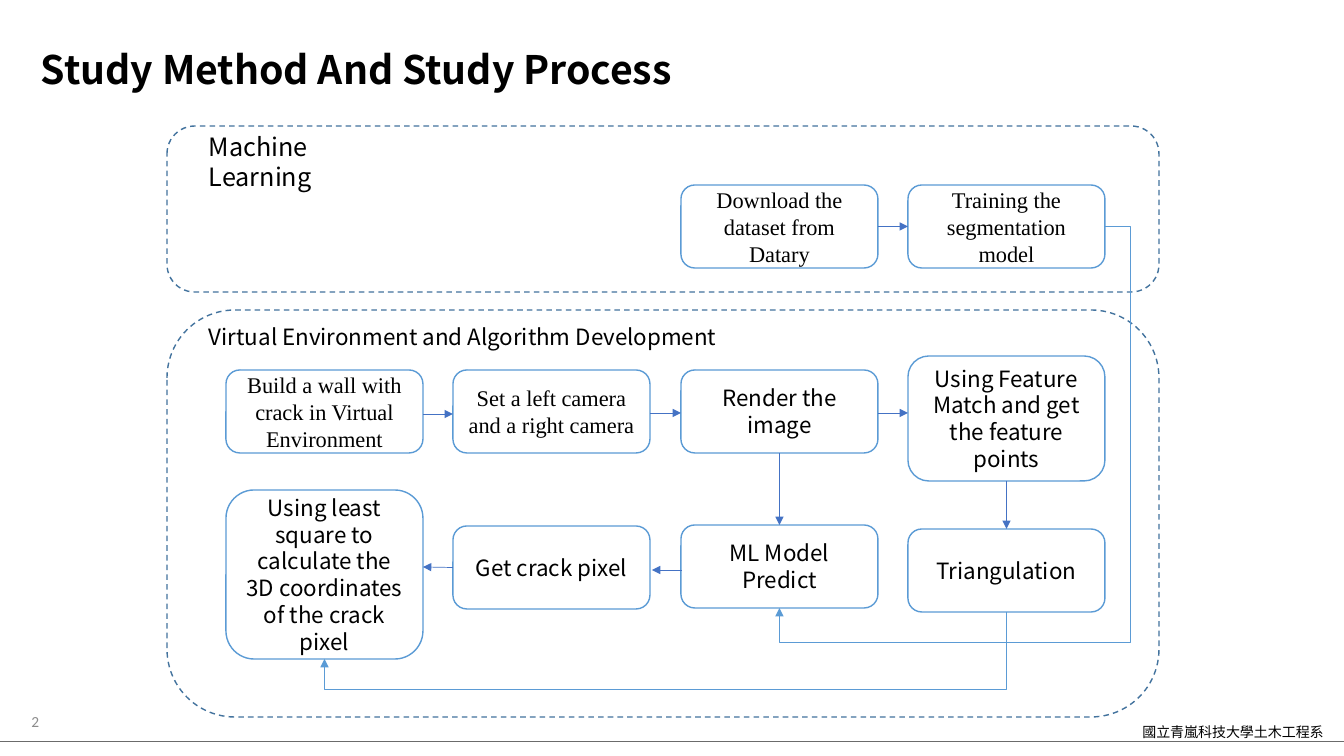
from lxml import etree
from pptx import Presentation
from pptx.dml.color import RGBColor
from pptx.enum.dml import MSO_LINE
from pptx.enum.shapes import MSO_CONNECTOR, MSO_SHAPE
from pptx.enum.text import MSO_ANCHOR, PP_ALIGN
from pptx.oxml.ns import qn
from pptx.util import Pt

STRAIGHT, ELBOW = MSO_CONNECTOR.STRAIGHT, MSO_CONNECTOR.ELBOW
RECT, ROUNDED = MSO_SHAPE.RECTANGLE, MSO_SHAPE.ROUNDED_RECTANGLE
LEFT, CENTER, RIGHT = PP_ALIGN.LEFT, PP_ALIGN.CENTER, PP_ALIGN.RIGHT
TOP_ANCHOR, MIDDLE = MSO_ANCHOR.TOP, MSO_ANCHOR.MIDDLE
DASH = MSO_LINE.DASH
TOP, LEFT_SIDE, BOTTOM, RIGHT_SIDE = range(4)

SANS, SERIF, NUMBER = "Noto Sans CJK SC", "Times New Roman", "Calibri"
BLACK, WHITE, GRAY = "000000", "FFFFFF", "8C8C8C"
BOX_BLUE, ARROW_BLUE, FRAME_BLUE = "5B9BD5", "4472C4", "43739E"
RULE_GRAY = "6B6B6B"
BOX_W, BOX_H = 197, 83


def px(n):
    return round(n * 914400 / 100.8)


def rgb(value):
    return RGBColor.from_string(value)


class FlowSlide:
    def __init__(self, prs):
        self.shapes = prs.slides.add_slide(prs.slide_layouts[6]).shapes

    def add_text(self, sp, text, size, font=SANS, color=BLACK, bold=False,
                 align=LEFT, anchor=TOP_ANCHOR, wrap=True):
        tf = sp.text_frame
        tf.word_wrap = wrap
        tf.vertical_anchor = anchor
        p = tf.paragraphs[0]
        p.alignment = align
        p.line_spacing = Pt(round(size * 1.2, 1))
        r = p.add_run()
        r.text = text
        r.font.size = Pt(size)
        r.font.name = font
        r.font.bold = bold
        r.font.color.rgb = rgb(color)
        etree.SubElement(r.font._element, qn("a:ea"), typeface=font)

    def label(self, x, y, w, h, text, size, **style):
        sp = self.shapes.add_textbox(px(x), px(y), px(w), px(h))
        self.add_text(sp, text, size, **style)

    def outline(self, kind, x, y, w, h, color, fill=None, dash=None):
        sp = self.shapes.add_shape(kind, px(x), px(y), px(w), px(h))
        sp.shadow.inherit = False
        if fill:
            sp.fill.solid()
            sp.fill.fore_color.rgb = rgb(fill)
        else:
            sp.fill.background()
        sp.line.color.rgb = rgb(color)
        sp.line.width = Pt(1)
        sp.line.dash_style = dash
        return sp

    def step(self, col, y, text, font=SANS, h=BOX_H):
        x = 226 + col * 455 // 2
        sp = self.outline(ROUNDED, x, y, BOX_W, h, BOX_BLUE, fill=WHITE)
        self.add_text(sp, text, 16, font=font, align=CENTER, anchor=MIDDLE)
        return sp

    def line(self, x1, y1, x2, y2, color=ARROW_BLUE, kind=STRAIGHT,
             begin=None, end=None, arrow=True):
        cx = self.shapes.add_connector(kind, px(x1), px(y1), px(x2), px(y2))
        if begin:
            cx.begin_connect(*begin)
        if end:
            cx.end_connect(*end)
        cx.line.color.rgb = rgb(color)
        cx.line.width = Pt(0.5)
        if arrow:
            ln = cx._element.spPr.find(qn("a:ln"))
            etree.SubElement(ln, qn("a:tailEnd"), type="triangle")
        etree.SubElement(cx._element.spPr, qn("a:effectLst"))
        return cx

    def bend(self, x1, y1, x2, y2, begin, end, preset, adjustments, turned=False):
        cx = self.line(x1, y1, x2, y2, BOX_BLUE, ELBOW, begin, end)
        geom = cx._element.spPr.find(qn("a:prstGeom"))
        geom.set("prst", preset)
        guides = geom.find(qn("a:avLst"))
        if guides is None:
            guides = etree.SubElement(geom, qn("a:avLst"))
        for i, value in enumerate(adjustments, 1):
            etree.SubElement(guides, qn("a:gd"), name=f"adj{i}", fmla=f"val {value}")
        if turned:
            xfrm = cx._element.spPr.find(qn("a:xfrm"))
            xfrm.attrib.pop("flipH", None)
            xfrm.set("rot", "5400000")
            w, h = cx.width, cx.height
            cx.left += (w - h) // 2
            cx.top += (h - w) // 2
            cx.width, cx.height = h, w


def main():
    prs = Presentation()
    prs.slide_width, prs.slide_height = px(1344), px(756)
    s = FlowSlide(prs)

    footer = s.outline(RECT, 1122, 708, 222, 48, WHITE)
    s.add_text(footer, "國立青嵐科技大學土木工程系", 10, align=CENTER, anchor=MIDDLE)
    s.line(1344, 741, 0, 741, RULE_GRAY, arrow=False)
    s.label(0, 701, 49, 40, "2", 11, font=NUMBER, color=GRAY, align=RIGHT, anchor=MIDDLE)
    s.label(31, 40, 767, 57, "Study Method And Study Process", 28, bold=True)

    for y, h in ((126, 166), (310, 407)):
        s.outline(ROUNDED, 167, y, 992, h, FRAME_BLUE, dash=DASH)
    s.label(199, 126, 224, 40, "Machine Learning", 18)
    s.label(199, 318, 529, 37, "Virtual Environment and Algorithm Development", 16, wrap=False)

    download = s.step(2, 185, "Download the dataset from Datary", SERIF)
    training = s.step(3, 185, "Training the segmentation model", SERIF)
    s.step(0, 370, "Build a wall with crack in Virtual Environment", SERIF)
    s.step(1, 370, "Set a left camera and a right camera", SERIF)
    render = s.step(2, 370, "Render the image")
    predict = s.step(2, 525, "ML Model Predict")
    least_square = s.step(
        0, 490, "Using least square to calculate the 3D coordinates of the crack pixel", h=169)
    crack_pixel = s.step(1, 526, "Get crack pixel")
    feature = s.step(3, 356, "Using Feature Match and get the feature points", h=125)
    triangulation = s.step(3, 529, "Triangulation")

    s.line(878, 226, 908, 226, begin=(download, RIGHT_SIDE), end=(training, LEFT_SIDE))
    for x1, x2, y in ((423, 453, 414), (650, 681, 413), (878, 908, 413), (682, 652, 570)):
        s.line(x1, y, x2, y)
    s.line(453, 567, 423, 567, begin=(crack_pixel, LEFT_SIDE))
    s.line(1007, 481, 1007, 529, begin=(feature, BOTTOM), end=(triangulation, TOP))
    s.line(779, 453, 779, 525, begin=(render, BOTTOM), end=(predict, TOP))
    s.bend(1105, 226, 779, 608, (training, RIGHT_SIDE), (predict, BOTTOM),
           "bentConnector4", (-7700, 109000))
    s.bend(1007, 612, 324, 659, (triangulation, BOTTOM), (least_square, BOTTOM),
           "bentConnector3", (163800,), turned=True)
    prs.save("out.pptx")


if __name__ == "__main__":
    main()
